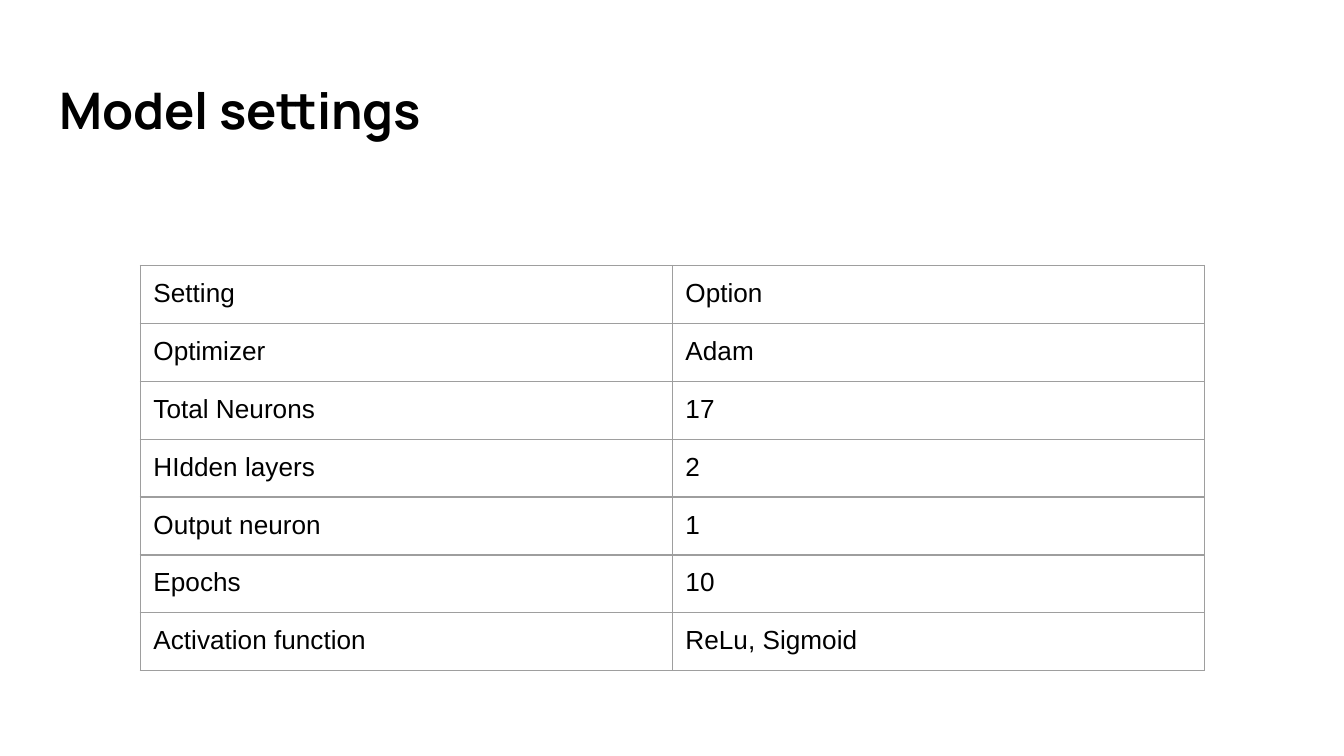
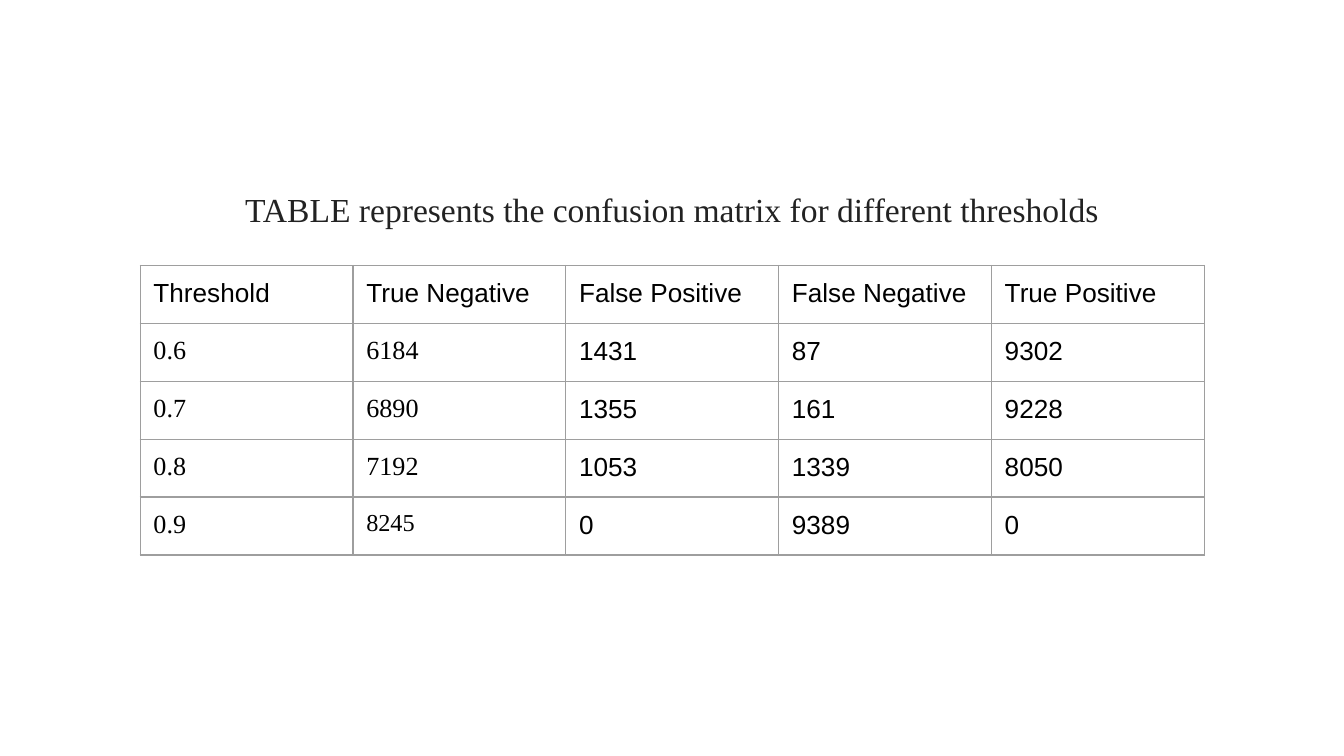
from lxml import etree
from pptx import Presentation
from pptx import util as u
from pptx.dml.color import RGBColor
from pptx.enum import text
from pptx.oxml import ns

BLACK = RGBColor(0x00, 0x00, 0x00)
INK = RGBColor(0x22, 0x22, 0x22)
GREY = RGBColor(0x9E, 0x9E, 0x9E)
WHITE = RGBColor(0xFF, 0xFF, 0xFF)

SANS, SERIF, HEAD = "Arial", "Times New Roman", "Manrope"
PAD = u.Cm(0.25)
ROW = u.Cm(1.06)
LEFT, WIDE = u.Cm(0.87), u.Cm(23.67)
GRID = (u.Cm(2.65), u.Cm(5.02), u.Cm(20.11))

SETTINGS = [
    ("Setting", "Option"),
    ("Optimizer", "Adam"),
    ("Total Neurons", "17"),
    ("HIdden layers", "2"),
    ("Output neuron", "1"),
    ("Epochs", "10"),
    ("Activation function", "ReLu, Sigmoid"),
]
MATRIX = [
    ("Threshold", "True Negative", "False Positive", "False Negative", "True Positive"),
    ("0.6", "6184", "1431", "87", "9302"),
    ("0.7", "6890", "1355", "161", "9228"),
    ("0.8", "7192", "1053", "1339", "8050"),
    ("0.9", "8245", "0", "9389", "0"),
]


def write(frame, words, font=SANS, size=14, color=BLACK, bold=False,
          align=text.PP_ALIGN.LEFT, line=None, after=None):
    para = frame.paragraphs[0]
    para.alignment = align
    if line:
        para.line_spacing = line
    if after:
        para.space_after = u.Pt(after)
    run = para.add_run()
    run.text = words
    run.font.name = font
    run.font.size = u.Pt(size)
    run.font.bold = bold
    run.font.color.rgb = color


def label(slide, box, words, **form):
    frame = slide.shapes.add_textbox(*box).text_frame
    frame.word_wrap = True
    frame.margin_left = frame.margin_right = PAD
    frame.margin_top = frame.margin_bottom = PAD
    write(frame, words, **form)


def border(cell):
    """Draw the four cell edges, which must precede the fill in the XML."""
    props = cell._tc.get_or_add_tcPr()
    for spot, side in enumerate(("lnL", "lnR", "lnT", "lnB")):
        edge = etree.Element(ns.qn(f"a:{side}"), w=str(u.Pt(0.75)))
        fill = etree.SubElement(edge, ns.qn("a:solidFill"))
        etree.SubElement(fill, ns.qn("a:srgbClr"), val=str(GREY))
        props.insert(spot, edge)


def grid(slide, box, rows, style=lambda row, col: {}):
    """Fill a table with rows; style gives the text format of each cell."""
    left, top, width = box
    count = len(rows[0])
    table = slide.shapes.add_table(
        len(rows), count, left, top, width, ROW * len(rows)).table
    table.first_row = table.horz_banding = False
    for col in table.columns:
        col.width = width // count
    for r, row in enumerate(rows):
        table.rows[r].height = ROW
        for c, words in enumerate(row):
            cell = table.cell(r, c)
            cell.margin_left = cell.margin_right = PAD
            cell.margin_top = cell.margin_bottom = PAD
            cell.fill.background()
            border(cell)
            write(cell.text_frame, words, **style(r, c))


def figure(row, col):
    """Set the first two columns below the header in serif."""
    if row == 0 or col > 1:
        return {}
    return {"font": SERIF, "size": 13 if (row, col) == (4, 1) else 14}


def blank(deck):
    slide = deck.slides.add_slide(deck.slide_layouts[6])
    slide.background.fill.solid()
    slide.background.fill.fore_color.rgb = WHITE
    return slide


def model(deck):
    slide = blank(deck)
    label(slide, (LEFT, u.Cm(1.24), WIDE, u.Cm(1.73)), "Model settings",
          font=HEAD, size=27, bold=True)
    grid(slide, GRID, SETTINGS)


def results(deck):
    slide = blank(deck)
    label(slide, (LEFT, u.Cm(3.2), WIDE, u.Cm(9.5)),
          "TABLE represents the confusion matrix for different thresholds",
          font=SERIF, size=18, color=INK, align=text.PP_ALIGN.CENTER,
          line=1.15, after=12)
    grid(slide, GRID, MATRIX, figure)


def main():
    deck = Presentation()
    deck.slide_width, deck.slide_height = u.Cm(25.4), u.Cm(14.29)
    model(deck)
    results(deck)
    deck.save("out.pptx")


if __name__ == "__main__":
    main()
